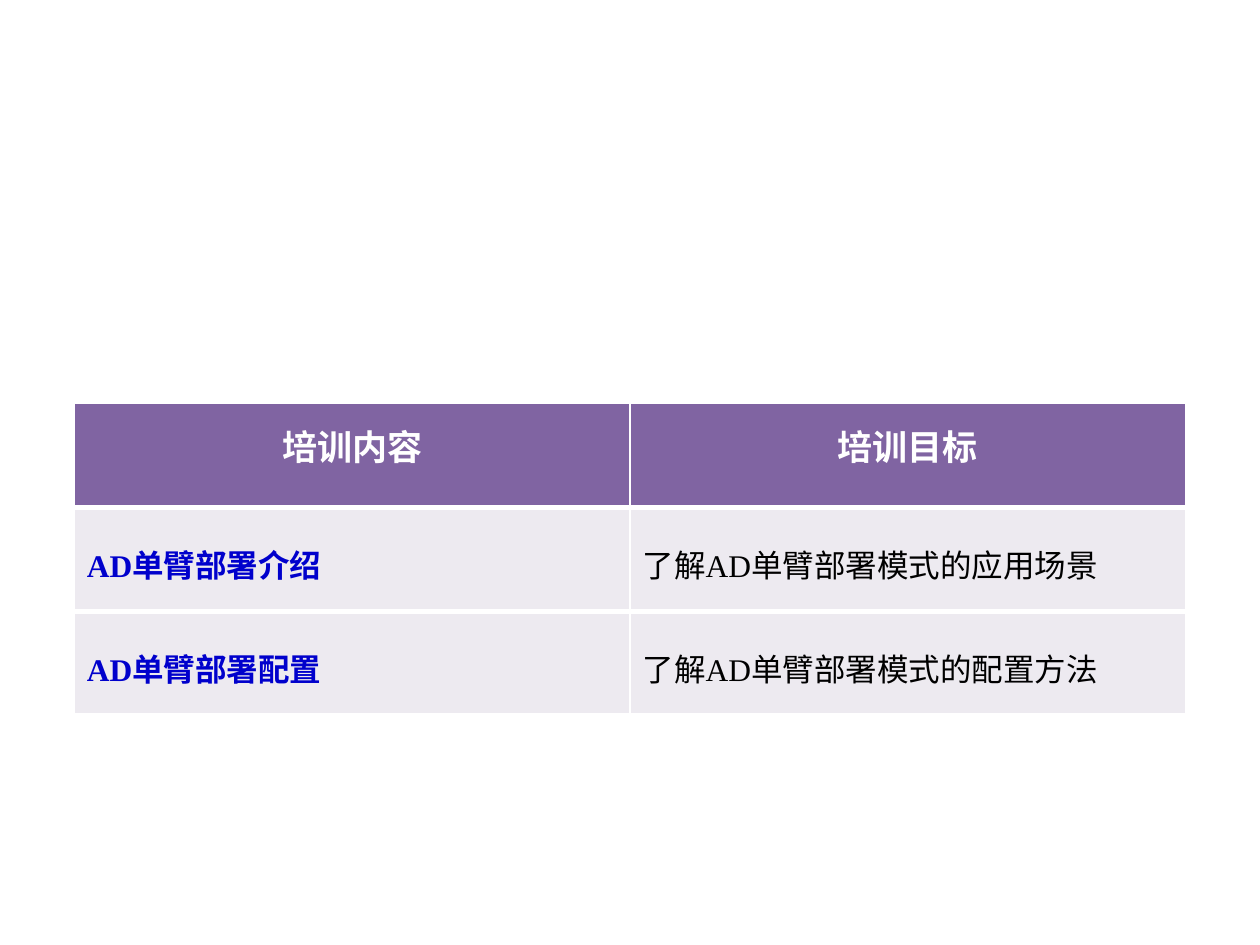
from dataclasses import dataclass

from lxml.etree import SubElement
from pptx import Presentation
from pptx.dml.color import RGBColor as Color
from pptx.enum.text import MSO_VERTICAL_ANCHOR as Anchor
from pptx.enum.text import PP_PARAGRAPH_ALIGNMENT as Align
from pptx.oxml.ns import qn
from pptx.util import Pt


@dataclass(frozen=True)
class Theme:
    font: str = "Times New Roman"
    header_size: int = 20
    body_size: int = 18
    header_fill: str = "8064A2"
    body_fill: str = "EDEAF0"
    header_text: str = "FFFFFF"
    topic_text: str = "0000CC"
    goal_text: str = "000000"
    border: str = "FFFFFF"
    thin: int = 1
    thick: int = 3


THEME = Theme()
HEADERS = ("培训内容", "培训目标")
LESSONS = (
    ("AD单臂部署介绍", "了解AD单臂部署模式的应用场景"),
    ("AD单臂部署配置", "了解AD单臂部署模式的配置方法"),
)
LEFT, TOP = 42.5, 230.4
COLUMN_WIDTH, ROW_HEIGHT = 317.5, 59.5


def set_borders(cell, top):
    """Draw all four sides; they must stand before the fill in the XML."""
    properties = cell._tc.get_or_add_tcPr()
    widths = {"L": THEME.thin, "R": THEME.thin, "T": top, "B": THEME.thick}
    for index, (side, width) in enumerate(widths.items()):
        line = SubElement(properties, qn(f"a:ln{side}"), w=str(Pt(width)))
        fill = SubElement(line, qn("a:solidFill"))
        SubElement(fill, qn("a:srgbClr"), val=THEME.border)
        properties.insert(index, line)


def fill_cell(cell, text, size, color, fill, bold):
    cell.fill.solid()
    cell.fill.fore_color.rgb = Color.from_string(fill)
    cell.text_frame.text = text
    para = cell.text_frame.paragraphs[0]
    para.line_spacing = 1.2
    para.space_before = Pt(size * 0.2)
    font = para.runs[0].font
    font.name = THEME.font
    font.size = Pt(size)
    font.bold = bold
    font.color.rgb = Color.from_string(color)


def add_header_cell(cell, text):
    fill_cell(cell, text, THEME.header_size, THEME.header_text, THEME.header_fill, True)
    cell.text_frame.paragraphs[0].alignment = Align.CENTER
    set_borders(cell, THEME.thin)


def add_body_cell(cell, text, color, bold):
    fill_cell(cell, text, THEME.body_size, color, THEME.body_fill, bold)
    cell.vertical_anchor = Anchor.MIDDLE
    set_borders(cell, THEME.thick)


def add_lesson_table(page):
    row_count, column_count = len(LESSONS) + 1, len(HEADERS)
    table = page.shapes.add_table(
        row_count, column_count, Pt(LEFT), Pt(TOP),
        Pt(COLUMN_WIDTH * column_count), Pt(ROW_HEIGHT * row_count),
    ).table
    table.horz_banding = False
    for column, text in enumerate(HEADERS):
        add_header_cell(table.cell(0, column), text)
    for row, (topic, goal) in enumerate(LESSONS, start=1):
        add_body_cell(table.cell(row, 0), topic, THEME.topic_text, True)
        add_body_cell(table.cell(row, 1), goal, THEME.goal_text, False)


def main():
    deck = Presentation()
    deck.slide_width, deck.slide_height = Pt(720), Pt(540)
    page = deck.slides.add_slide(deck.slide_layouts[6])
    add_lesson_table(page)
    deck.save("out.pptx")


if __name__ == "__main__":
    main()
